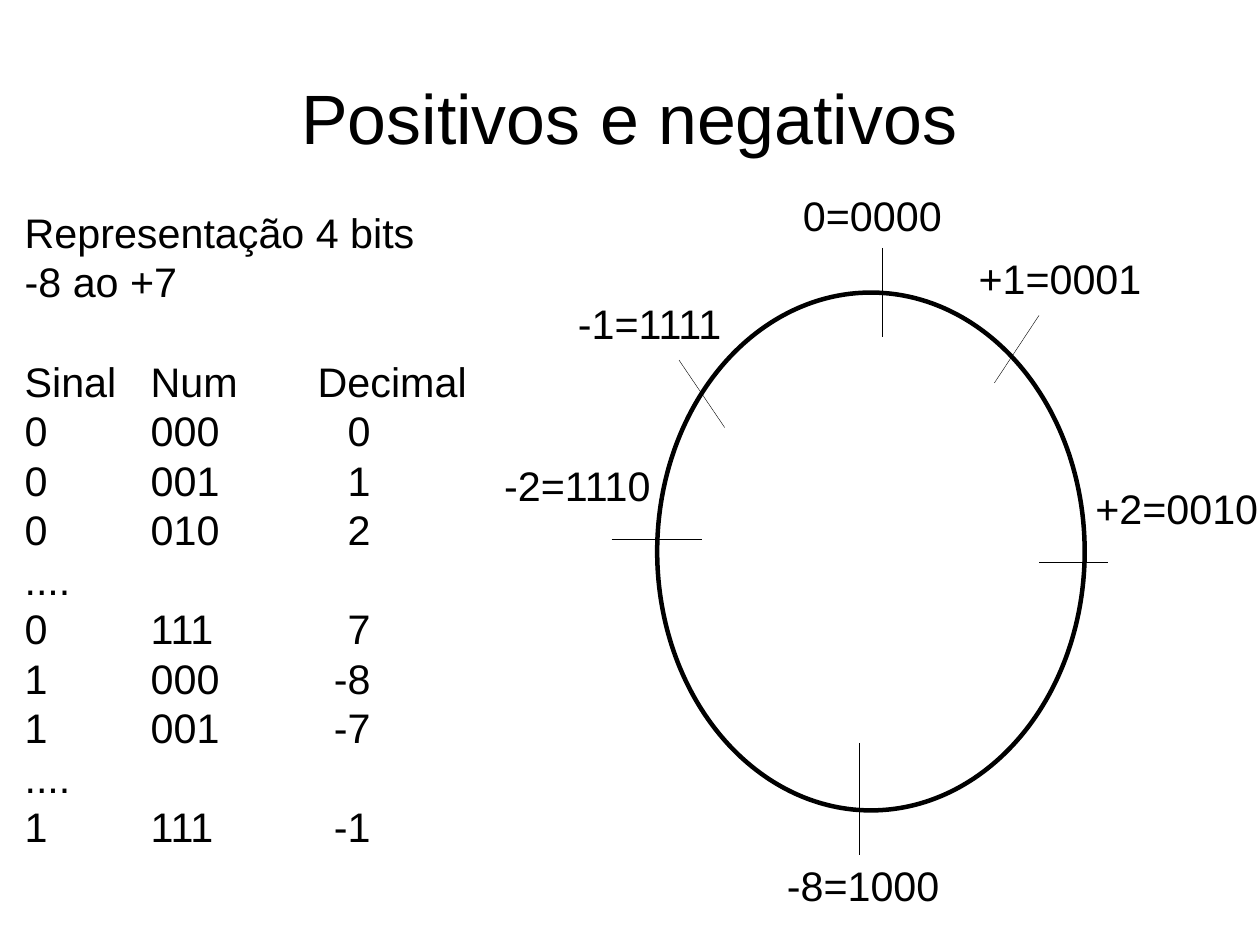
from lxml.etree import SubElement
from pptx import Presentation
from pptx.dml.color import RGBColor
from pptx.enum.shapes import MSO_CONNECTOR, MSO_SHAPE
from pptx.enum.text import MSO_ANCHOR, MSO_AUTO_SIZE, PP_ALIGN
from pptx.oxml.ns import qn
from pptx.util import Pt

BLACK = RGBColor(0, 0, 0)
WHITE = RGBColor(255, 255, 255)
LINE_HEIGHT = Pt(31.2)


def add_text_box(left, top, width, height, wrap):
    box = page.shapes.add_textbox(Pt(left), Pt(top), Pt(width), Pt(height))
    frame = box.text_frame
    frame.margin_left = frame.margin_right = 0
    frame.margin_top = frame.margin_bottom = 0
    frame.word_wrap = wrap
    frame.auto_size = MSO_AUTO_SIZE.NONE
    return frame


def format_para(para, size):
    para.font.size = Pt(size)
    for span in para.runs:
        span.font.name = "Arial"
        span.font.size = Pt(size)
        span.font.color.rgb = BLACK


deck = Presentation()
deck.slide_width = Pt(793.7)
deck.slide_height = Pt(595.28)
page = deck.slides.add_slide(deck.slide_layouts[5])

title = page.shapes.title
title.left, title.top = Pt(39.6), Pt(23.8)
title.width, title.height = Pt(714.2), Pt(99.4)
frame = title.text_frame
frame.text = "Positivos e negativos"
frame.margin_left = frame.margin_right = 0
frame.margin_top = frame.margin_bottom = 0
frame.vertical_anchor = MSO_ANCHOR.MIDDLE
frame.paragraphs[0].alignment = PP_ALIGN.CENTER
format_para(frame.paragraphs[0], 44)

header = ("Sinal", "Num", "Decimal")
rows = [
    ("Representação 4 bits",),
    ("-8 ao +7",),
    header,
    ("0", "000", "0"),
    ("0", "001", "1"),
    ("0", "010", "2"),
    ("....",),
    ("0", "111", "7"),
    ("1", "000", "-8"),
    ("1", "001", "-7"),
    ("....",),
    ("1", "111", "-1"),
]
frame = add_text_box(15.5, 130.5, 300, 410, True)
for index, row in enumerate(rows):
    para = frame.add_paragraph() if index else frame.paragraphs[0]
    para.text = "\t".join(row)
    para.line_spacing = LINE_HEIGHT
    if row == header:
        para.space_before = LINE_HEIGHT
    format_para(para, 26)
    if len(row) == 3:
        last_stop = (184.6, "l") if row == header else (218, "r")
        properties = para._p.get_or_add_pPr()
        stops = SubElement(properties, qn("a:tabLst"))
        properties.insert_element_before(stops, "a:defRPr", "a:extLst")
        for position, side in ((79.4, "l"), last_stop):
            SubElement(stops, qn("a:tab"), pos=str(Pt(position)), algn=side)

circle = page.shapes.add_shape(
    MSO_SHAPE.OVAL, Pt(414), Pt(184.3), Pt(269.3), Pt(326.2)
)
circle.shadow.inherit = False
circle.fill.solid()
circle.fill.fore_color.rgb = WHITE
circle.line.color.rgb = BLACK
circle.line.width = Pt(2.83)

ticks = [
    (555.8, 156.2, 555.8, 212.4),
    (654.5, 198.7, 626.4, 241.2),
    (427.7, 226.8, 456.5, 269.3),
    (541.4, 468, 541.4, 538.6),
    (697.7, 354.2, 654.5, 354.2),
    (385.2, 339.8, 442.1, 339.8),
]
for tick in ticks:
    line = page.shapes.add_connector(MSO_CONNECTOR.STRAIGHT, *map(Pt, tick))
    line.line.color.rgb = BLACK
    line.line.width = Pt(0.25)
    SubElement(line._element.spPr, qn("a:effectLst"))

labels = [
    ("0=0000", 549.6, 119.7),
    ("+1=0001", 667.8, 159.3),
    ("+2=0010", 741.4, 304.1),
    ("-8=1000", 543.8, 541.7),
    ("-1=1111", 409.3, 187.6),
    ("-2=1110", 363.8, 289.7),
]
label_width = 103
for text, center, top in labels:
    frame = add_text_box(center - label_width / 2, top, label_width, 32.4, False)
    frame.text = text
    para = frame.paragraphs[0]
    para.alignment = PP_ALIGN.CENTER
    para.line_spacing = LINE_HEIGHT
    format_para(para, 26)

deck.save("out.pptx")
